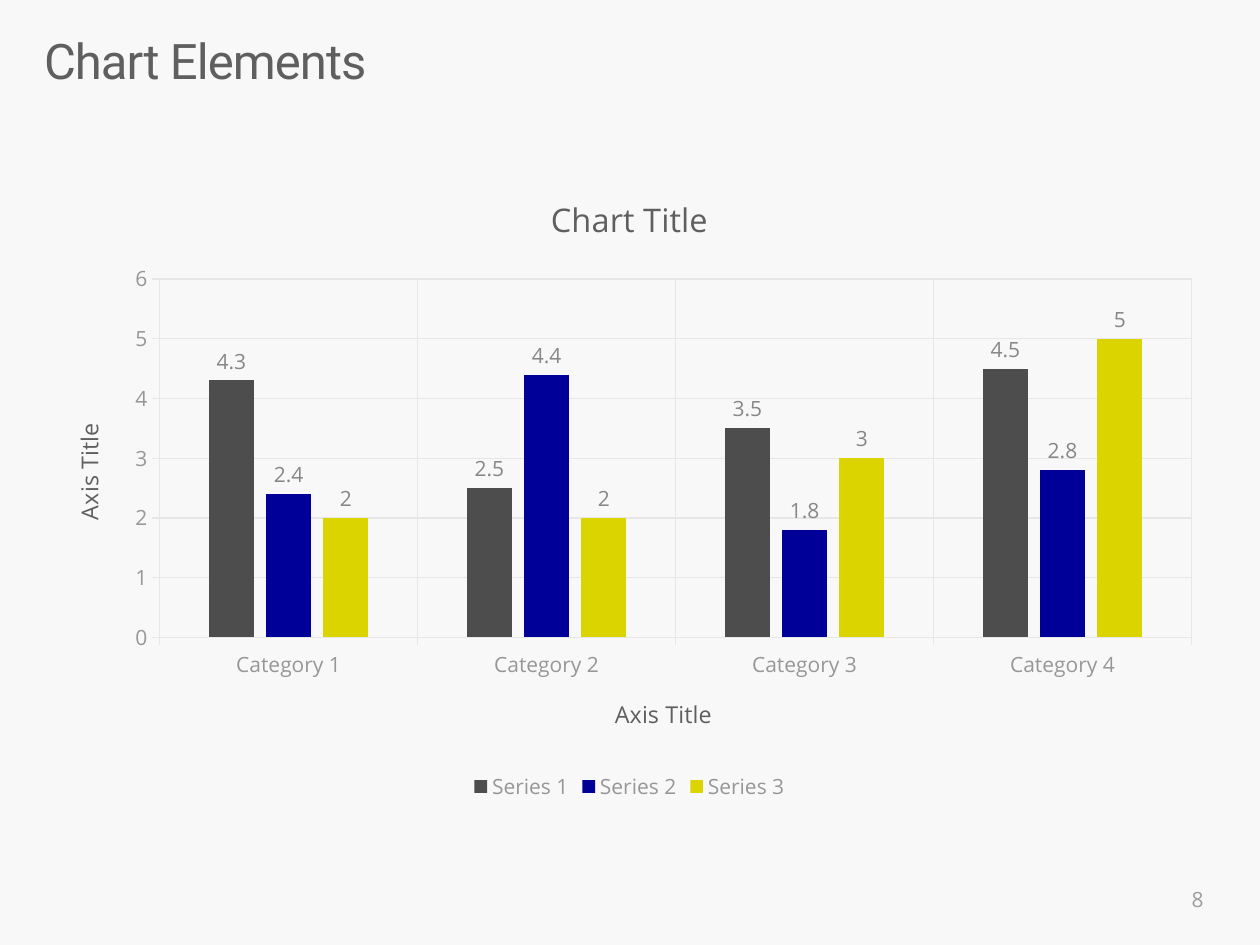
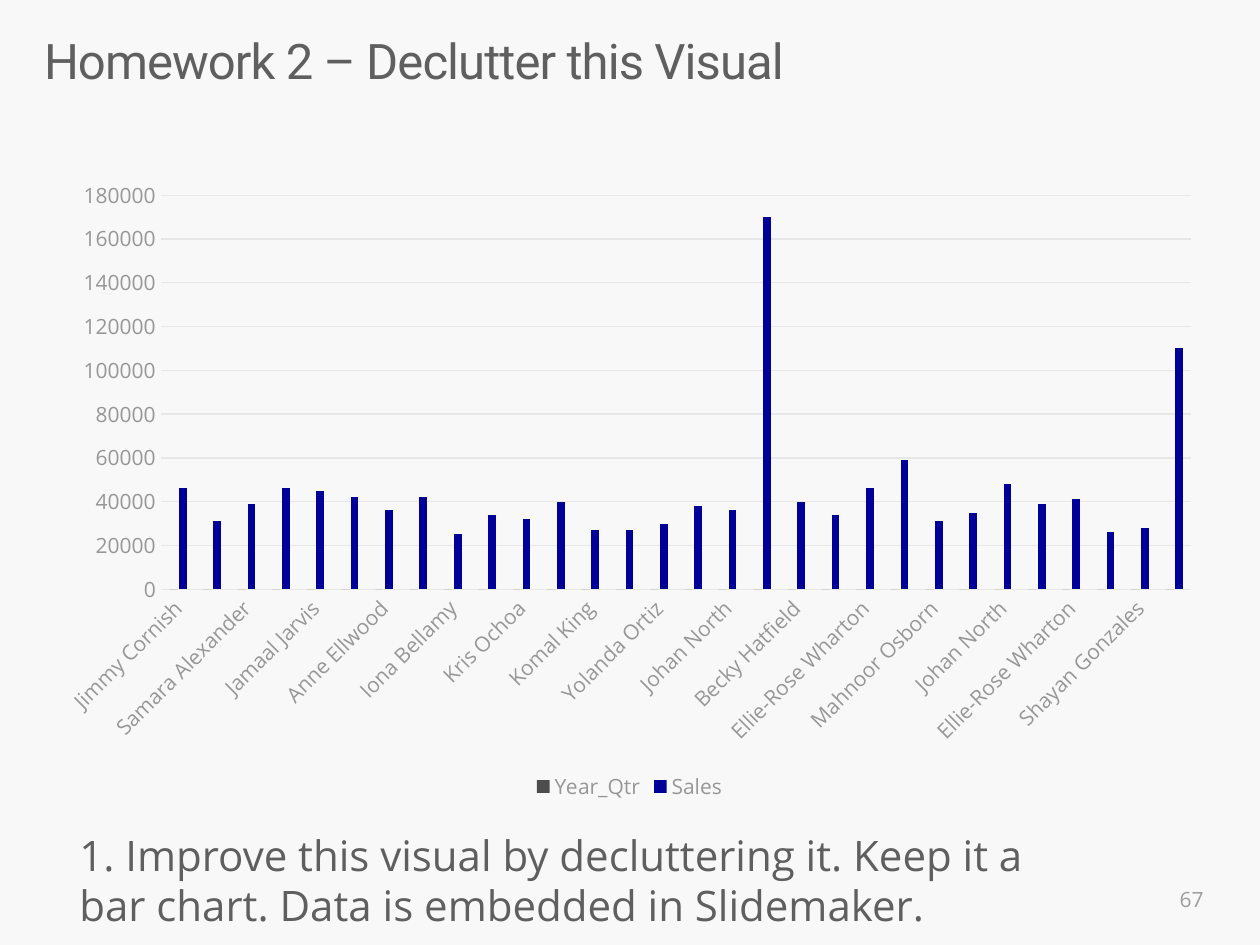
from pptx import Presentation
from pptx.chart.data import CategoryChartData
from pptx.dml.color import RGBColor
from pptx.enum.chart import (XL_CHART_TYPE, XL_LABEL_POSITION,
                             XL_LEGEND_POSITION, XL_TICK_MARK)
from pptx.enum.text import MSO_ANCHOR, MSO_AUTO_SIZE, PP_ALIGN
from pptx.util import Emu, Pt

PX_PER_INCH = 126
BACKGROUND = RGBColor(0xF8, 0xF8, 0xF8)
TEXT = RGBColor(0x5F, 0x5F, 0x5F)
AXIS_TEXT = RGBColor(0x97, 0x97, 0x97)
LABEL_TEXT = RGBColor(0x87, 0x87, 0x87)
NUMBER_TEXT = RGBColor(0x9D, 0x9D, 0x9D)
GRID = RGBColor(0xE7, 0xE7, 0xE7)
SERIES_COLORS = [RGBColor(0x4D, 0x4D, 0x4D), RGBColor(0x00, 0x00, 0x99),
                 RGBColor(0xDB, 0xD4, 0x00)]
TITLE_FONT = "Roboto"
BODY_FONT = "Open Sans"

ELEMENT_CATEGORIES = [f"Category {number}" for number in range(1, 5)]
ELEMENT_SERIES = {
    "Series 1": [4.3, 2.5, 3.5, 4.5],
    "Series 2": [2.4, 4.4, 1.8, 2.8],
    "Series 3": [2, 2, 3, 5],
}
SALES = [
    ("Jimmy Cornish", 46000), ("Samara Alexander", 31000),
    ("Samara Alexander", 39000), ("Rian Read", 46000),
    ("Jamaal Jarvis", 45000), ("Ellie-Rose Wharton", 42000),
    ("Anne Ellwood", 36000), ("Ralph Pitts", 42000),
    ("Iona Bellamy", 25000), ("Ira Schmidt", 34000),
    ("Kris Ochoa", 32000), ("Becky Hatfield", 40000),
    ("Komal King", 27000), ("Mihai Wall", 27000),
    ("Yolanda Ortiz", 30000), ("Jamaal Jarvis", 38000),
    ("Johan North", 36000), ("Ellie-Rose Wharton", 170000),
    ("Becky Hatfield", 40000), ("Nikhil Salinas", 34000),
    ("Ellie-Rose Wharton", 46000), ("Ira Schmidt", 59000),
    ("Mahnoor Osborn", 31000), ("Myra Gilliam", 35000),
    ("Johan North", 48000), ("Rian Read", 39000),
    ("Ellie-Rose Wharton", 41000), ("Jimmy Cornish", 26000),
    ("Shayan Gonzales", 28000), ("Ellie-Rose Wharton", 110000),
]


def px(*lengths):
    return [Emu(round(length * 914400 / PX_PER_INCH)) for length in lengths]


def style_font(font, size, color, name=BODY_FONT):
    font.size = Pt(size)
    font.name = name
    font.bold = False
    font.color.rgb = color


def style_line(line):
    line.color.rgb = GRID
    line.width = Pt(0.75)


def add_text(page, text, area, size, color, align=PP_ALIGN.LEFT,
             anchor=MSO_ANCHOR.TOP):
    frame = page.shapes.add_textbox(*px(*area)).text_frame
    frame.word_wrap = True
    frame.vertical_anchor = anchor
    frame.text = text
    para = frame.paragraphs[0]
    para.alignment = align
    style_font(para.runs[0].font, size, color)
    return frame


def add_page(deck, title, number):
    """Add a page with its title and page number."""
    page = deck.slides.add_slide(deck.slide_layouts.get_by_name("Title Only"))
    box = page.shapes.title
    box.left, box.top, box.width, box.height = px(44, 39, 1171, 112)
    frame = box.text_frame
    frame.margin_left = frame.margin_top = 0
    frame.margin_right = frame.margin_bottom = 0
    frame.vertical_anchor = MSO_ANCHOR.TOP
    frame.auto_size = MSO_AUTO_SIZE.NONE
    frame.text = title
    para = frame.paragraphs[0]
    para.alignment = PP_ALIGN.LEFT
    para.line_spacing = 0.86
    span = para.runs[0]
    style_font(span.font, 28, TEXT, TITLE_FONT)
    span.font._element.set("spc", "-50")
    add_text(page, str(number), (932, 874, 284, 50), 12, NUMBER_TEXT,
             PP_ALIGN.RIGHT, MSO_ANCHOR.MIDDLE)
    return page


def add_column_chart(page, categories, series):
    """Add a clustered column chart in the shared style."""
    data = CategoryChartData()
    data.categories = categories
    for name, values in series.items():
        data.add_series(name, values)
    chart = page.shapes.add_chart(XL_CHART_TYPE.COLUMN_CLUSTERED,
                                  *px(44, 168, 1171, 638), data).chart
    style_font(chart.font, 10, TEXT)
    chart.has_title = False
    chart.has_legend = True
    chart.legend.position = XL_LEGEND_POSITION.BOTTOM
    chart.legend.include_in_layout = False
    style_font(chart.legend.font, 12, AXIS_TEXT)

    plot = chart.plots[0]
    plot.gap_width = 219
    plot.overlap = -27
    plot.vary_by_categories = False
    for column, color in zip(plot.series, SERIES_COLORS):
        column.format.fill.solid()
        column.format.fill.fore_color.rgb = color

    for axis in (chart.category_axis, chart.value_axis):
        axis.major_tick_mark = axis.minor_tick_mark = XL_TICK_MARK.NONE
        style_font(axis.tick_labels.font, 12, AXIS_TEXT)
        style_line(axis.format.line)
    style_line(chart.value_axis.major_gridlines.format.line)
    return chart


def add_heading(part, frame, text, size):
    """Title a chart or one of its axes."""
    frame.text = text
    style_font(frame.paragraphs[0].runs[0].font, size, TEXT)


def show_all_elements(chart):
    """Turn on titles, ticks, gridlines and data labels."""
    chart.has_title = True
    chart.chart_title.include_in_layout = False
    add_heading(chart, chart.chart_title.text_frame, "Chart Title", 18.6)
    for axis in (chart.category_axis, chart.value_axis):
        axis.has_title = True
        add_heading(axis, axis.axis_title.text_frame, "Axis Title", 13.3)
        axis.major_tick_mark = XL_TICK_MARK.CROSS
        axis.has_major_gridlines = True
        style_line(axis.major_gridlines.format.line)
    for column in chart.plots[0].series:
        labels = column.data_labels
        labels.show_value = True
        labels.position = XL_LABEL_POSITION.OUTSIDE_END
        style_font(labels.font, 12, LABEL_TEXT)


def slant_category_labels(chart):
    body = chart.category_axis._element.txPr.bodyPr
    body.set("rot", "-2700000")
    body.set("vert", "horz")


def main():
    deck = Presentation()
    deck.slide_width, deck.slide_height = px(1260, 945)
    fill = deck.slide_master.background.fill
    fill.solid()
    fill.fore_color.rgb = BACKGROUND

    # Chart elements
    page = add_page(deck, "Chart Elements", 8)
    show_all_elements(add_column_chart(page, ELEMENT_CATEGORIES,
                                       ELEMENT_SERIES))

    # Homework
    page = add_page(deck, "Homework 2 – Declutter this Visual", 67)
    people, sales = zip(*SALES)
    chart = add_column_chart(page, people, {"Year_Qtr": [0] * len(sales),
                                            "Sales": sales})
    chart.value_axis.format.line.fill.background()
    slant_category_labels(chart)
    task = add_text(page, "1. Improve this visual by decluttering it. Keep it "
                    "a bar chart. Data is embedded in Slidemaker.",
                    (67, 823, 993, 115), 24, TEXT)
    task.auto_size = MSO_AUTO_SIZE.SHAPE_TO_FIT_TEXT

    deck.save("out.pptx")


if __name__ == "__main__":
    main()
